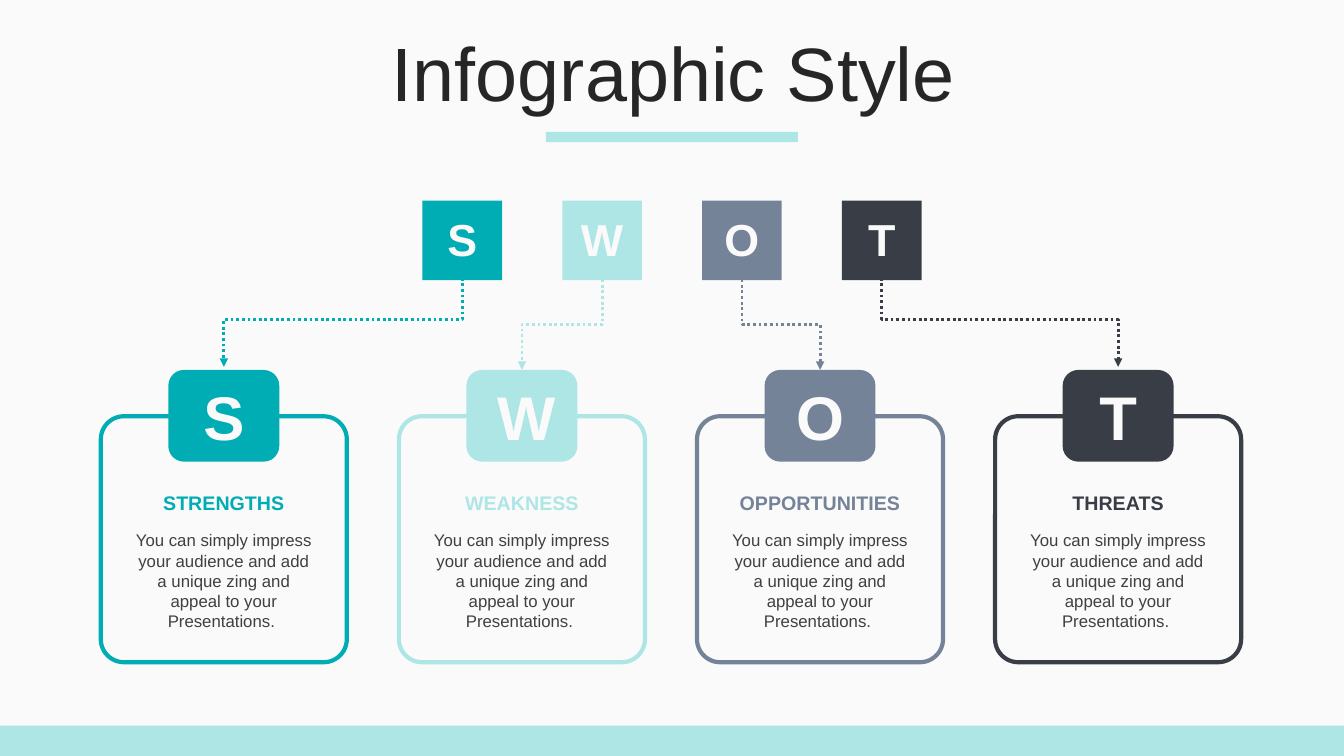
from pptx import Presentation
from pptx.dml.color import RGBColor
from pptx.enum.dml import MSO_LINE
from pptx.enum.shapes import MSO_CONNECTOR, MSO_SHAPE
from pptx.enum.text import MSO_ANCHOR, PP_ALIGN
from pptx.oxml.ns import qn
from pptx.util import Inches, Pt
from lxml import etree

TEAL = RGBColor(0x00, 0xAD, 0xB5)
AQUA = RGBColor(0xAE, 0xE6, 0xE6)
SLATE = RGBColor(0x74, 0x83, 0x98)
CHARCOAL = RGBColor(0x39, 0x3E, 0x46)
PAPER = RGBColor(0xFA, 0xFA, 0xFA)
INK = RGBColor(0x26, 0x26, 0x26)
BODY_GREY = RGBColor(0x40, 0x40, 0x40)

# Content: letter, heading, colour, arrow start and end heights
TITLE = "Infographic Style"
BODY = ("You can simply impress your audience and add a unique zing "
        "and appeal to your Presentations. ")
SWOT = [
    ("S", "STRENGTHS", TEAL, 2.70, 3.64),
    ("W", "WEAKNESS", AQUA, 2.77, 3.67),
    ("O", "OPPORTUNITIES", SLATE, 2.77, 3.67),
    ("T", "THREATS", CHARCOAL, 2.70, 3.64),
]

# Grid, in inches
SLIDE_W, SLIDE_H = 13.33, 7.5
CARD = 2.44
CARD_LEFT, CARD_LAST, CARD_TOP = 1.0, 9.87, 4.13
TILE = 0.79
TILE_LEFT, TILE_LAST, TILE_TOP = 4.19, 8.35, 1.99
BADGE_W, BADGE_H, BADGE_TOP = 1.1, 0.91, 3.67
LETTER_W, TEXT_W = 0.69, 1.96
BAR_W, BAR_H, FOOTER_H = 2.5, 0.1, 0.3

prs = Presentation()
prs.slide_width, prs.slide_height = Inches(SLIDE_W), Inches(SLIDE_H)
slide = prs.slides.add_slide(prs.slide_layouts[6])
slide.background.fill.solid()
slide.background.fill.fore_color.rgb = PAPER


def add_box(kind, left, top, width, height, fill, line=None, radius=None):
    sp = slide.shapes.add_shape(kind, Inches(left), Inches(top),
                                Inches(width), Inches(height))
    sp.shadow.inherit = False
    sp.fill.solid()
    sp.fill.fore_color.rgb = fill
    if radius is not None:
        sp.adjustments[0] = radius
    if line is None:
        sp.line.fill.background()
    else:
        sp.line.color.rgb = line
        sp.line.width = Pt(3)


def add_text(text, center, top, width, height, size, color, bold=False):
    sp = slide.shapes.add_textbox(Inches(center - width / 2), Inches(top),
                                  Inches(width), Inches(height))
    tf = sp.text_frame
    tf.word_wrap = True
    p = tf.paragraphs[0]
    p.text = text
    p.alignment = PP_ALIGN.CENTER
    p.font.name = "Arial"
    p.font.size = Pt(size)
    p.font.bold = bold
    p.font.color.rgb = color
    return tf


def add_drop_arrow(x1, y1, x2, y2, color):
    """Elbow arrow that leaves downwards: a quarter-turned connector."""
    mid_x, mid_y = (x1 + x2) / 2, (y1 + y2) / 2
    half_w, half_h = (y2 - y1) / 2, abs(x2 - x1) / 2
    to_right = x2 > x1
    if to_right:
        half_w = -half_w  # mirrors the connector
    cx = slide.shapes.add_connector(
        MSO_CONNECTOR.ELBOW,
        Inches(mid_x - half_w), Inches(mid_y - half_h),
        Inches(mid_x + half_w), Inches(mid_y + half_h))
    sp_pr = cx._element.spPr
    sp_pr.find(qn("a:xfrm")).set("rot", "16200000" if to_right else "5400000")
    cx.line.color.rgb = color
    cx.line.width = Pt(2)
    cx.line.dash_style = MSO_LINE.ROUND_DOT
    etree.SubElement(sp_pr.find(qn("a:ln")), qn("a:tailEnd"), type="triangle")
    etree.SubElement(sp_pr, qn("a:effectLst"))


# Title, underline and footer band
add_box(MSO_SHAPE.RECTANGLE, (SLIDE_W - BAR_W) / 2, 1.31, BAR_W, BAR_H, AQUA)
add_box(MSO_SHAPE.RECTANGLE, 0, SLIDE_H - FOOTER_H, SLIDE_W, FOOTER_H, AQUA)
title = add_text(TITLE, 6.68, 0.37, 12.66, 0.79, 54, INK)
title.vertical_anchor = MSO_ANCHOR.MIDDLE
title.paragraphs[0].line_spacing = 0.9

for i, (letter, heading, color, start, end) in enumerate(SWOT):
    share = i / (len(SWOT) - 1)
    card_x = CARD_LEFT + (CARD_LAST - CARD_LEFT) * share
    tile_x = TILE_LEFT + (TILE_LAST - TILE_LEFT) * share
    card_mid, tile_mid = card_x + CARD / 2, tile_x + TILE / 2

    # Card with its badge and wording
    add_box(MSO_SHAPE.ROUNDED_RECTANGLE, card_x, CARD_TOP, CARD, CARD,
            PAPER, color, 0.094)
    add_box(MSO_SHAPE.ROUNDED_RECTANGLE, card_mid - BADGE_W / 2, BADGE_TOP,
            BADGE_W, BADGE_H, color, radius=0.17)
    add_text(BODY, card_mid, 5.21, TEXT_W, 1.11, 12, BODY_GREY)
    add_text(heading, card_mid, 4.82, TEXT_W, 0.34, 14, color, True)
    add_text(letter, card_mid, 3.71, LETTER_W, 0.84, 44, PAPER, True)

    # Top tile and the arrow down to the card
    add_box(MSO_SHAPE.RECTANGLE, tile_x, TILE_TOP, TILE, TILE, color)
    add_text(letter, tile_mid, 2.05, LETTER_W, 0.64, 32, PAPER, True)
    add_drop_arrow(tile_mid, start, card_mid, end, color)

prs.save("out.pptx")
